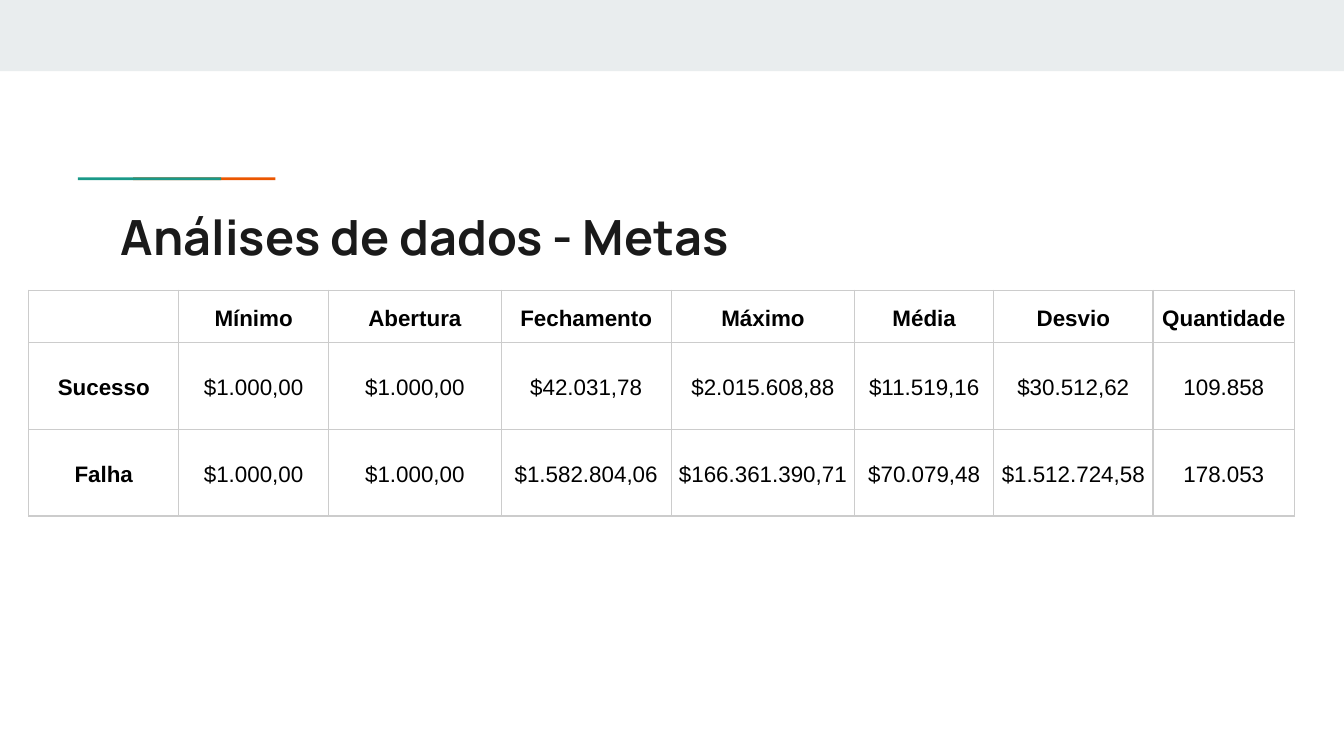
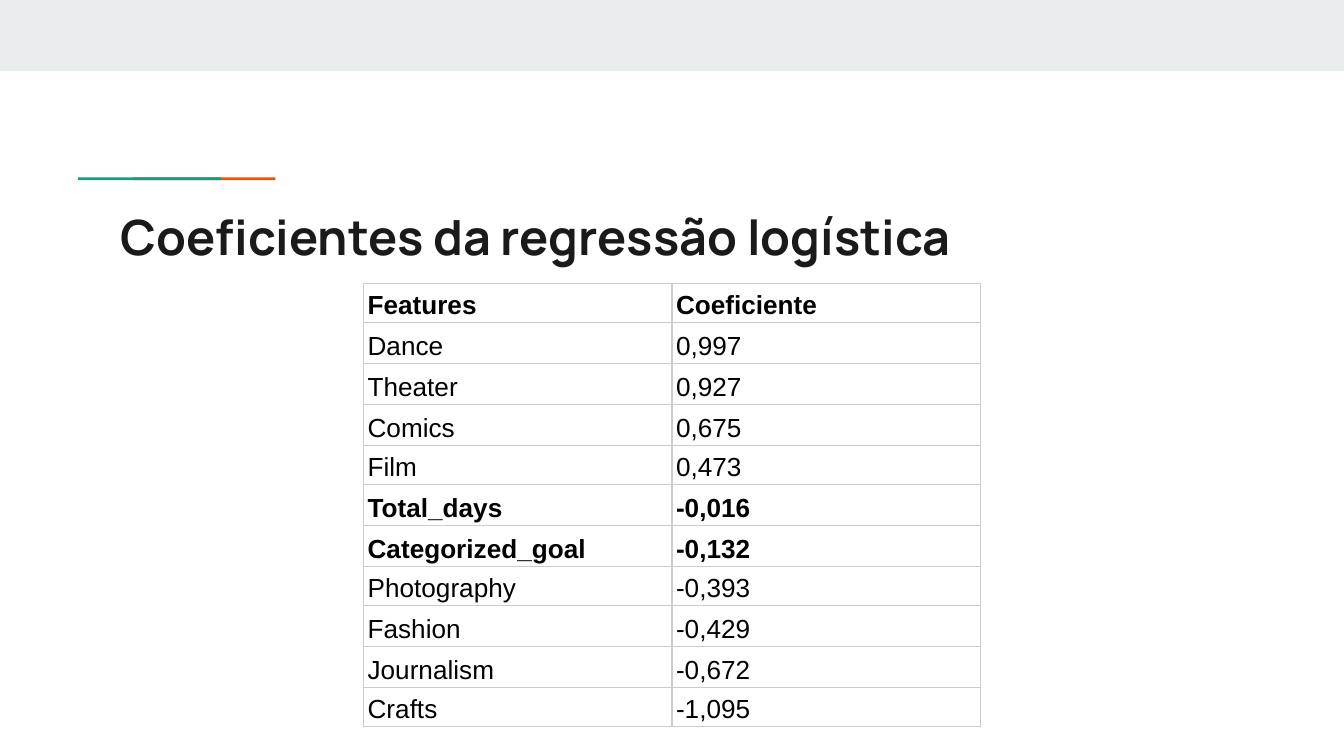
from lxml import etree
from pptx import Presentation
from pptx.dml.color import RGBColor
from pptx.enum.shapes import MSO_SHAPE
from pptx.enum.text import MSO_ANCHOR, MSO_AUTO_SIZE, PP_ALIGN
from pptx.oxml.ns import qn
from pptx.util import Pt

RECTANGLE = MSO_SHAPE.RECTANGLE
LEFT, CENTER = PP_ALIGN.LEFT, PP_ALIGN.CENTER
TOP, MIDDLE, BOTTOM = MSO_ANCHOR.TOP, MSO_ANCHOR.MIDDLE, MSO_ANCHOR.BOTTOM

PX = 4572  # EMU in one px, 200 px to the inch
TITLE_ONLY = 5
COLORS = {
    "band": "E9EDEE", "orange": "EB5600", "teal": "1A9988", "title": "1A1A1A",
    "text": "000000", "border": "CCCCCC", "white": "FFFFFF",
}
BORDER_WIDTH = 0.75

# Each part: colour, then left, top, width, height
DECORATION = [
    ("band", 0, 0, 2000, 106),
    ("orange", 198, 264, 212, 4),
    ("teal", 116, 264, 213, 4),
]

SLIDES = [
    {
        "title": "Análises de dados - Metas",
        "origin": (43, 432),
        "columns": [223, 223, 257, 253, 273, 207, 237, 211],
        "heights": [78, 129, 129],
        "rows": [
            ("", "Mínimo", "Abertura", "Fechamento", "Máximo", "Média",
             "Desvio", "Quantidade"),
            ("Sucesso", "$1.000,00", "$1.000,00", "$42.031,78",
             "$2.015.608,88", "$11.519,16", "$30.512,62", "109.858"),
            ("Falha", "$1.000,00", "$1.000,00", "$1.582.804,06",
             "$166.361.390,71", "$70.079,48", "$1.512.724,58", "178.053"),
        ],
        "bold_rows": {0},
        "bold_columns": {0},
        "white_columns": set(),
        "anchor": MIDDLE,
        "format": {"size": 12, "align": CENTER},
    },
    {
        "title": "Coeficientes da regressão logística",
        "origin": (541, 422),
        "columns": [459, 459],
        "heights": [44, 61, 61, 61, 54, 61, 61, 54, 61, 61, 54],
        "rows": [
            ("Features", "Coeficiente"),
            ("Dance", "0,997"),
            ("Theater", "0,927"),
            ("Comics", "0,675"),
            ("Film", "0,473"),
            ("Total_days", "-0,016"),
            ("Categorized_goal", "-0,132"),
            ("Photography", "-0,393"),
            ("Fashion", "-0,429"),
            ("Journalism", "-0,672"),
            ("Crafts", "-1,095"),
        ],
        "bold_rows": {0, 5, 6},
        "bold_columns": set(),
        "white_columns": {1},
        "anchor": BOTTOM,
        "format": {"size": 14, "align": LEFT},
    },
]


def color(name):
    return RGBColor.from_string(COLORS[name])


def scaled(*lengths):
    return [length * PX for length in lengths]


def write(frame, text, size, font="Arial", ink="text", bold=False, align=LEFT,
          spacing=1.0):
    para = frame.paragraphs[0]
    para.alignment = align
    para.line_spacing = spacing
    span = para.add_run()
    span.text = text
    span.font.name = font
    span.font.size = Pt(size)
    span.font.bold = bold
    span.font.color.rgb = color(ink)


def set_margins(target, across, down):
    target.margin_left = target.margin_right = across * PX
    target.margin_top = target.margin_bottom = down * PX


def add_decoration(page):
    for name, *place in DECORATION:
        box = page.shapes.add_shape(RECTANGLE, *scaled(*place))
        box.shadow.inherit = False
        box.fill.solid()
        box.fill.fore_color.rgb = color(name)
        box.line.fill.background()


def add_title(page, text):
    title = page.shapes.title
    title.left, title.top, title.width, title.height = scaled(160, 288, 1682, 118)
    frame = title.text_frame
    frame.word_wrap = True
    frame.auto_size = MSO_AUTO_SIZE.NONE
    frame.vertical_anchor = TOP
    set_margins(frame, 20, 20)
    write(frame, text, size=26, font="Manrope", ink="title", bold=True)


def add_borders(cell):
    properties = cell._tc.get_or_add_tcPr()
    for side in ("a:lnL", "a:lnR", "a:lnT", "a:lnB"):
        line = etree.SubElement(properties, qn(side), w=str(Pt(BORDER_WIDTH)))
        fill = etree.SubElement(line, qn("a:solidFill"))
        etree.SubElement(fill, qn("a:srgbClr"), val=COLORS["border"])


def add_data_table(page, content):
    rows, columns, heights = content["rows"], content["columns"], content["heights"]
    place = scaled(*content["origin"], sum(columns), sum(heights))
    table = page.shapes.add_table(len(rows), len(columns), *place).table
    table.first_row = table.horz_banding = False
    for column, width in zip(table.columns, columns):
        column.width = width * PX
    for row, height in zip(table.rows, heights):
        row.height = height * PX
    for r, values in enumerate(rows):
        for c, value in enumerate(values):
            cell = table.cell(r, c)
            set_margins(cell, 6, 4)
            cell.vertical_anchor = content["anchor"]
            add_borders(cell)
            if c in content["white_columns"]:
                cell.fill.solid()
                cell.fill.fore_color.rgb = color("white")
            else:
                cell.fill.background()
            if value:
                bold = r in content["bold_rows"] or c in content["bold_columns"]
                write(cell.text_frame, value, bold=bold, spacing=1.15,
                      **content["format"])


def main():
    deck = Presentation()
    deck.slide_width, deck.slide_height = scaled(2000, 1125)
    for content in SLIDES:
        page = deck.slides.add_slide(deck.slide_layouts[TITLE_ONLY])
        add_decoration(page)
        add_title(page, content["title"])
        add_data_table(page, content)
    deck.save("out.pptx")


if __name__ == "__main__":
    main()
